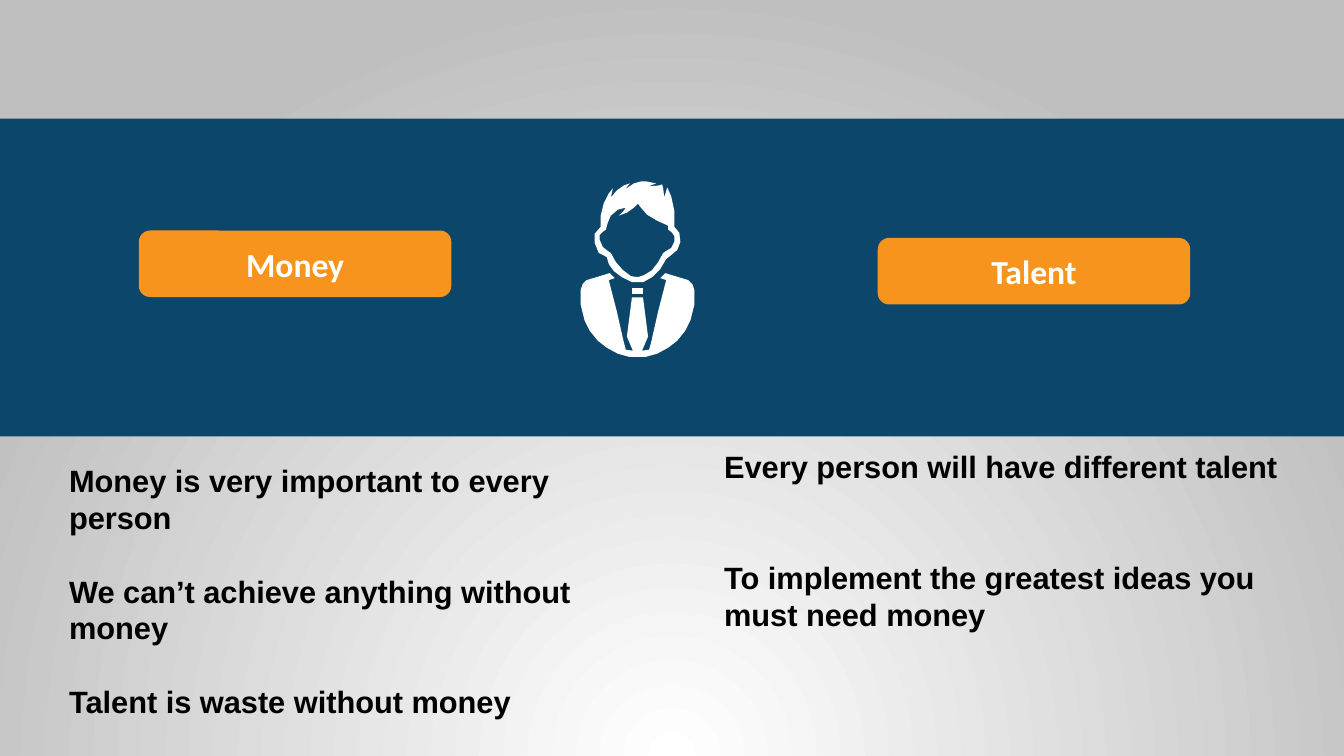
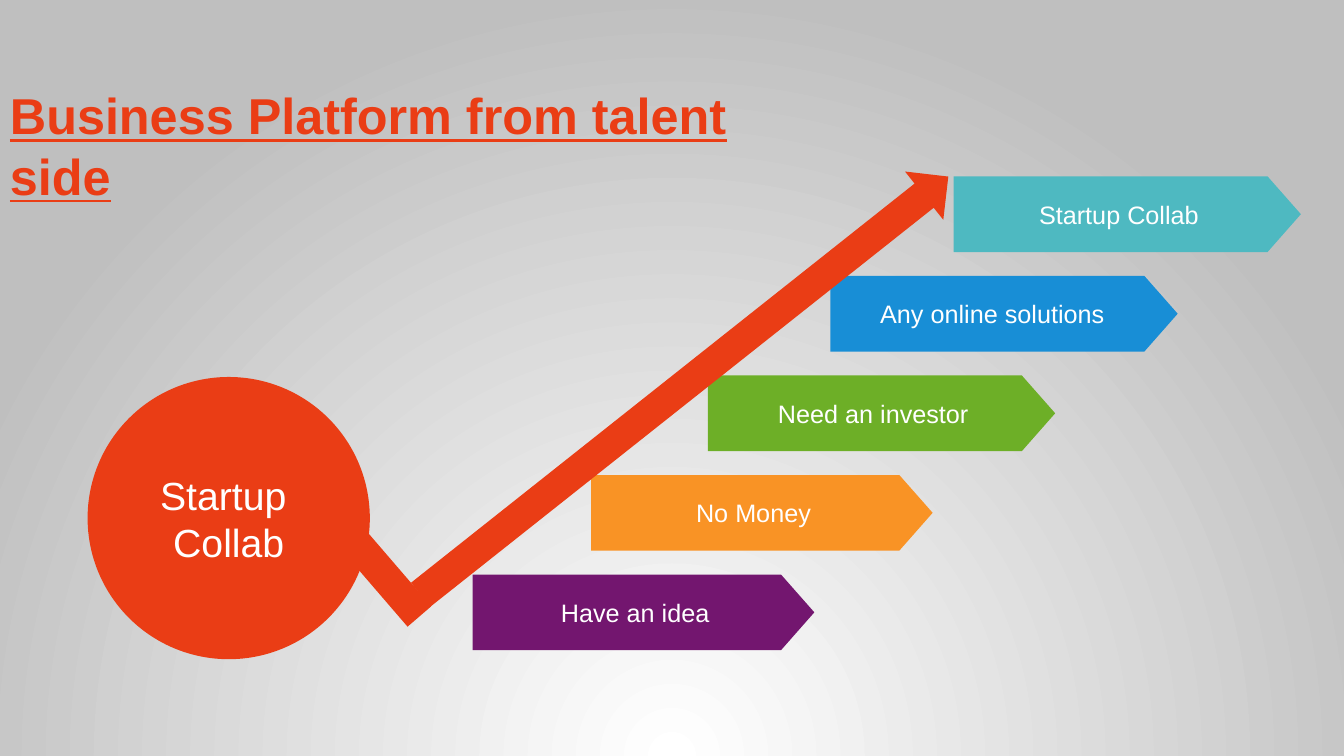
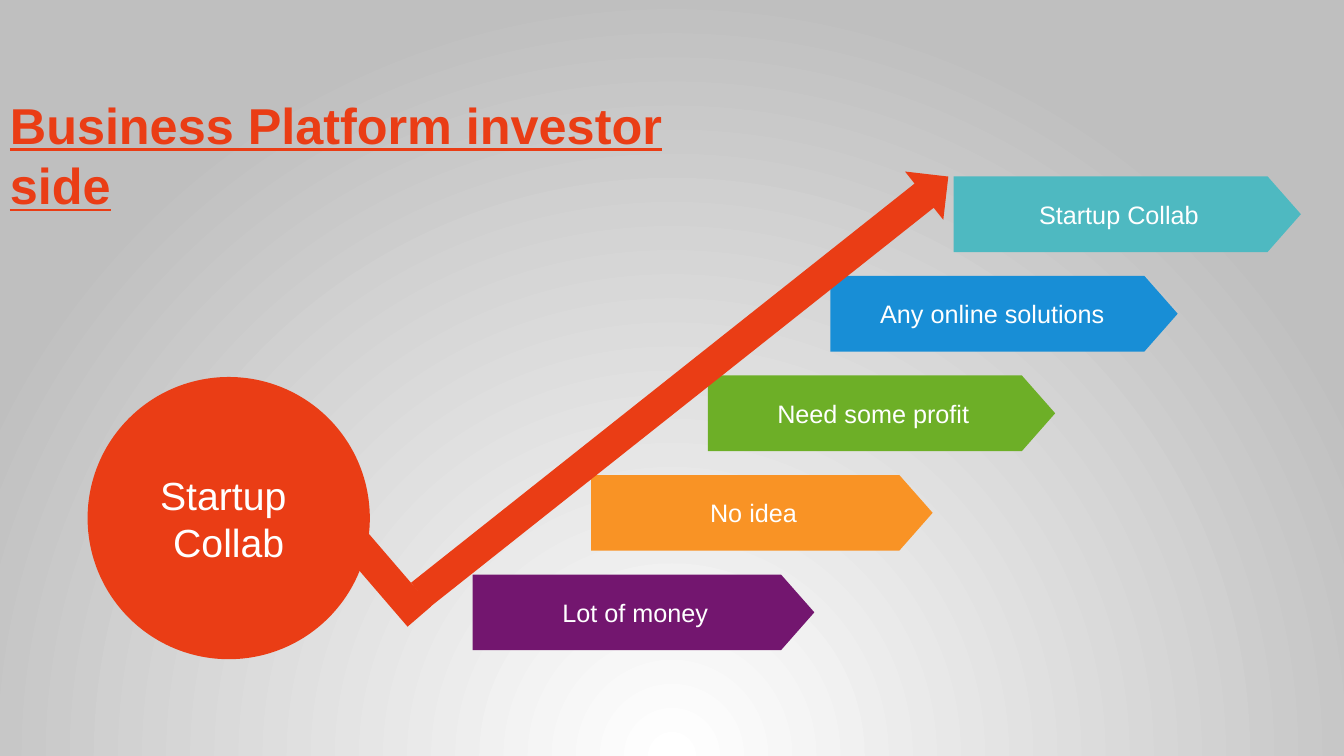
from lxml import etree
from pptx import Presentation
from pptx.dml.color import RGBColor
from pptx.enum.shapes import MSO_SHAPE as Preset
from pptx.enum.text import MSO_ANCHOR as Anchor, PP_ALIGN as Align
from pptx.oxml.ns import qn
from pptx.util import Pt

WHITE, BLACK, GREY = "FFFFFF", "000000", "BFBFBF"
NAVY, ORANGE, RED = "0C476B", "F7941D", "EA3D15"
STEPS = [
    (0, 244, "73166F"),
    (84.5, 244, "F99325"),
    (168, 248, "6DAF27"),
    (255.5, 248, "188ED6"),
    (343.5, 248, "4EB9C1"),
]
STEP_HEIGHT, STEP_RISE = 54, 71.1

KNOT = [(51, 106), (62, 106), (62, 112), (51, 112)]
SUIT_HALF = [
    (62, 115), (67, 154), (61, 168), (68, 167), (70, 160), (77, 129),
    (85, 98), (79, 96), (84, 91), (107, 98), (111, 102), (113, 108),
    (113, 122), (109, 138), (104, 148), (96, 158), (87, 165), (76, 171),
    (65, 174),
]
SUIT = SUIT_HALF + [(113 - x, y) for x, y in reversed(SUIT_HALF)]
HEAD = [
    (65, 0), (75, 2), (67, 5), (78, 4), (81, 3), (82, 7), (83, 16), (86, 6),
    (90, 15), (93, 29), (93, 45), (98, 51), (99, 60), (96, 68), (90, 73),
    (85, 77), (79, 87), (71, 95), (62, 100), (51, 100), (41, 95), (33, 89),
    (28, 82), (26, 75), (18, 71), (14, 61), (14, 52), (20, 45), (20, 34),
    (23, 22), (28, 12), (32, 7), (30, 16), (36, 9), (43, 4), (49, 2),
    (44, 8), (53, 2), (60, 0),
]
FACE = [
    (57, 22), (53, 26), (46, 31), (38, 34), (42, 30), (45, 26), (37, 28),
    (30, 34), (27, 41), (25, 48), (22, 50), (19, 53), (19, 58), (22, 65),
    (27, 69), (30, 71), (35, 80), (42, 88), (50, 94), (57, 95), (63, 93),
    (71, 88), (77, 80), (82, 71), (85, 69), (90, 66), (93, 60), (93, 54),
    (90, 50), (87, 48), (87, 44), (76, 39), (66, 33), (59, 25),
]


def colour(value):
    """Turn a hex string into a colour."""
    return RGBColor.from_string(value)


def paint(shape, fill):
    """Give a shape a flat fill without line or shadow."""
    shape.shadow.inherit = False
    shape.fill.solid()
    shape.fill.fore_color.rgb = colour(fill)
    shape.line.fill.background()


def add_block(page, preset, left, top, width, height, fill, adjust=None):
    """Add a flat preset shape."""
    block = page.shapes.add_shape(preset, Pt(left), Pt(top), Pt(width), Pt(height))
    paint(block, fill)
    if adjust is not None:
        block.adjustments[0] = adjust
    return block


def write(shape, lines, size, ink=WHITE, font="Arial", bold=False,
          underline=False, align=Align.CENTER, anchor=Anchor.MIDDLE, gap=0):
    """Write one paragraph for each line, with a gap between them."""
    frame = shape.text_frame
    frame.word_wrap = True
    frame.vertical_anchor = anchor
    for index, line in enumerate(lines):
        para = frame.add_paragraph() if index else frame.paragraphs[0]
        para.alignment = align
        para.space_before = Pt(gap if index else 0)
        span = para.add_run()
        span.text = line
        span.font.size = Pt(size)
        span.font.name = font
        span.font.bold = bold
        span.font.underline = underline
        span.font.color.rgb = colour(ink)


def add_note(page, left, top, width, height, lines, size, **style):
    """Add a bold text box that reads from its top left corner."""
    box = page.shapes.add_textbox(Pt(left), Pt(top), Pt(width), Pt(height))
    write(box, lines, size, bold=True, align=Align.LEFT, anchor=Anchor.TOP, **style)


def add_outline(page, left, top, contours):
    """Add a white outline whose later contours are holes."""
    first, *holes = contours
    builder = page.shapes.build_freeform(*first[0], scale=Pt(0.72))
    builder.add_line_segments(first[1:], close=True)
    for hole in holes:
        builder.move_to(*hole[0])
        builder.add_line_segments(hole[1:], close=True)
    paint(builder.convert_to_shape(Pt(left), Pt(top)), WHITE)


def add_person(page, left, top):
    """Draw the businessman icon."""
    for contours in ([KNOT], [SUIT], [HEAD, FACE]):
        add_outline(page, left, top, contours)


def add_label(page, left, top, text):
    """Add an orange rounded label."""
    label = add_block(page, Preset.ROUNDED_RECTANGLE, left, top, 223.2, 47.5, ORANGE, 0.17)
    write(label, [text], 24, font="Calibri", bold=True)


def add_steps(page, left, bottom, labels):
    """Add the pentagons that climb from the lower left corner."""
    for index, (label, (shift, width, fill)) in enumerate(zip(labels, STEPS)):
        top = bottom - STEP_HEIGHT - index * STEP_RISE
        step = add_block(page, Preset.PENTAGON, left + shift, top, width, STEP_HEIGHT, fill, 0.44)
        write(step, [label], 18)


def add_rising_arrow(page, left, top):
    """Add the red circle with the bent arrow that rises from it."""
    arrow = add_block(page, Preset.RIGHT_ARROW, left + 185.8, top - 15.8, 481, 44, RED)
    arrow.rotation = 321.6
    elbow = add_block(page, Preset.RECTANGLE, left + 175.7, top + 131.8, 74.2, 22.3, RED)
    elbow.rotation = 49.3
    circle = add_block(page, Preset.OVAL, left, top, 201.6, 201.6, RED)
    write(circle, ["Startup ", "Collab"], 28)


def build_comparison(page):
    """Build the slide that sets money beside talent."""
    add_block(page, Preset.RECTANGLE, 0, 84.7, 960, 227, NAVY)
    add_person(page, 414.7, 129.6)
    add_label(page, 99.2, 164.7, "Money")
    add_label(page, 627, 170, "Talent")
    add_note(page, 42.3, 326, 417.6, 179, [
        "Money is very important to every person",
        "We can’t achieve anything without money",
        "Talent is waste without money",
    ], 22, ink=BLACK, gap=26.4)
    add_note(page, 510.2, 316.5, 417.6, 223, [
        "Every person will have different talent",
        "To implement the greatest ideas you must need money",
    ], 22, ink=BLACK, gap=52.8)


def build_platform(page, title, title_top, labels):
    """Build a slide with a title, a rising arrow and its steps."""
    add_steps(page, 337.7, 464.4, labels)
    add_rising_arrow(page, 62.6, 269.3)
    add_note(page, 0, title_top, 540, 94, [title], 36, ink=RED, underline=True)


def set_background(master):
    """Give every slide a circular gradient that shines from the bottom."""
    fill = master.background.fill
    fill.gradient()
    for stop, value in zip(fill.gradient_stops, (WHITE, GREY)):
        stop.color.rgb = colour(value)
    gradient = next(master._element.iter(qn("a:gradFill")))
    for line in gradient.findall(qn("a:lin")):
        gradient.remove(line)
    glow = etree.Element(qn("a:path"), path="circle")
    etree.SubElement(glow, qn("a:fillToRect"), l="50000", t="100000", r="50000", b="0")
    gradient.find(qn("a:gsLst")).addnext(glow)


def main():
    """Build the deck and save it."""
    deck = Presentation()
    deck.slide_width, deck.slide_height = Pt(960), Pt(540)
    set_background(deck.slide_master)
    blank = deck.slide_layouts[6]
    build_comparison(deck.slides.add_slide(blank))
    build_platform(
        deck.slides.add_slide(blank), "Business Platform from talent side", 56.9,
        ["Have an idea", "No Money", "Need an investor", "Any online solutions ", "Startup Collab"])
    build_platform(
        deck.slides.add_slide(blank), "Business Platform investor side", 63.4,
        ["Lot of money", "No idea", "Need some profit", "Any online solutions ", "Startup Collab"])
    deck.save("out.pptx")


if __name__ == "__main__":
    main()
